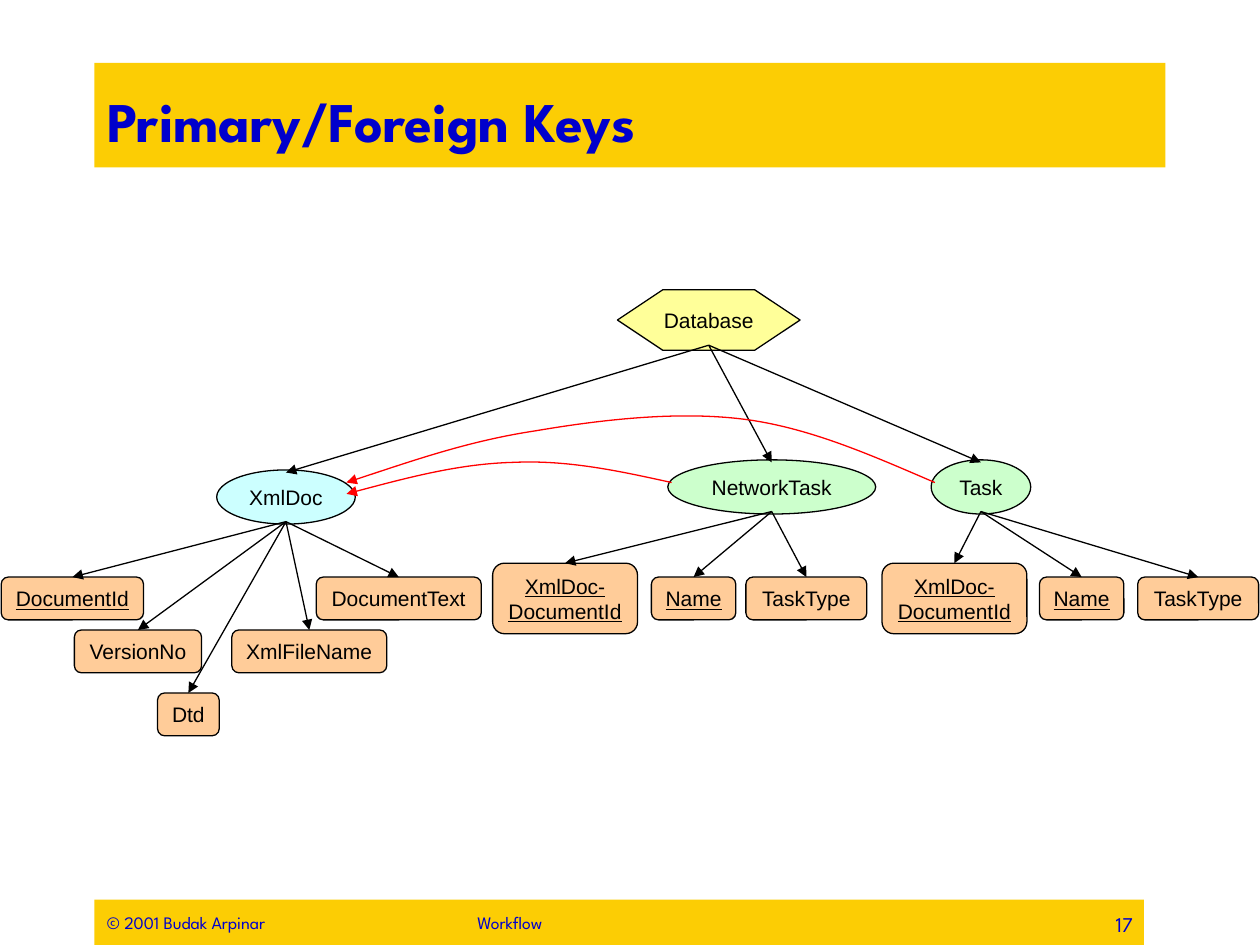
from lxml import etree
from pptx import Presentation
from pptx.dml.color import RGBColor
from pptx.enum.shapes import MSO_CONNECTOR, MSO_SHAPE
from pptx.enum.text import MSO_ANCHOR, MSO_AUTO_SIZE, PP_ALIGN
from pptx.oxml.ns import qn
from pptx.util import Inches, Pt

RECT, HEXAGON, OVAL = MSO_SHAPE.RECTANGLE, MSO_SHAPE.HEXAGON, MSO_SHAPE.OVAL
ROUND = MSO_SHAPE.ROUNDED_RECTANGLE
STRAIGHT = MSO_CONNECTOR.STRAIGHT
MIDDLE, NO_FIT = MSO_ANCHOR.MIDDLE, MSO_AUTO_SIZE.NONE
LEFT, CENTER, RIGHT = PP_ALIGN.LEFT, PP_ALIGN.CENTER, PP_ALIGN.RIGHT

GOLD = RGBColor(0xFC, 0xCD, 0x04)
BLUE = RGBColor(0x00, 0x00, 0xCC)
BLACK = RGBColor(0x00, 0x00, 0x00)
RED = RGBColor(0xFF, 0x00, 0x00)
YELLOW = RGBColor(0xFF, 0xFF, 0x99)
CYAN = RGBColor(0xCC, 0xFF, 0xFF)
GREEN = RGBColor(0xCC, 0xFF, 0xCC)
ORANGE = RGBColor(0xFF, 0xCC, 0x99)

HEADING = {"name": "League Spartan", "color": BLUE}
LABEL = {"name": "Arial", "size": Pt(12), "color": BLACK}
INSET = 0.02  # arrows touch the entity ovals slightly inside the outline


def set_text(s, text, align, wrap=True, **font):
    tf = s.text_frame
    for name, value in {"word_wrap": wrap, "auto_size": NO_FIT,
                        "vertical_anchor": MIDDLE}.items():
        setattr(tf, name, value)
    tf.text = text
    color = font.pop("color")
    for p in tf.paragraphs:
        p.alignment = align
        for r in p.runs:
            r.font.color.rgb = color
            for name, value in font.items():
                setattr(r.font, name, value)


def style_arrow(s, color):
    s.line.color.rgb = color
    s.line.width = Pt(0.75)
    ln = s.line._get_or_add_ln()
    etree.SubElement(ln, qn("a:tailEnd"), type="triangle")
    if s._element.spPr.find(qn("a:effectLst")) is None:
        etree.SubElement(s._element.spPr, qn("a:effectLst"))


prs = Presentation()
prs.slide_width, prs.slide_height = Inches(10), Inches(7.5)
slide = prs.slides.add_slide(prs.slide_layouts[5])
shapes = slide.shapes

# Title and footer bars
bars = []
for top, width, height in [(0.5, 8.5, 0.83), (7.14, 8.33, 0.36)]:
    bar = shapes.add_shape(RECT, Inches(0.75), Inches(top), Inches(width), Inches(height))
    bar.shadow.inherit = False
    bar.fill.solid()
    bar.fill.fore_color.rgb = GOLD
    bar.line.fill.background()
    bars.append(bar)

title = shapes.title
title.left, title.top = Inches(0.75), Inches(0.33)
title.width, title.height = Inches(8.5), Inches(1.25)
set_text(title, "Primary/Foreign Keys", LEFT, size=Pt(32), bold=True, **HEADING)
shapes._spTree.append(title._element)  # in front of its bar

footer = bars[1]
set_text(footer, "© 2001 Budak Arpinar\tWorkflow", LEFT, size=Pt(10), **HEADING)
pPr = footer.text_frame.paragraphs[0]._p.get_or_add_pPr()
tabs = etree.SubElement(pPr, qn("a:tabLst"))
etree.SubElement(tabs, qn("a:tab"), pos=str(Inches(2.94)), algn="l")

number = shapes.add_textbox(Inches(7.17), Inches(7.17), Inches(1.92), Inches(0.33))
set_text(number, "17", RIGHT, size=Pt(12), **HEADING)

# Schema tree: name, parent, shape, fill, left, top, width, height, is key
ENTITIES = [
    ("Database", None, HEXAGON, YELLOW, 4.9, 2.3, 1.45, 0.48, False),
    ("XmlDoc", "Database", OVAL, CYAN, 1.72, 3.73, 1.1, 0.43, False),
    ("NetworkTask", "Database", OVAL, GREEN, 5.3, 3.65, 1.65, 0.43, False),
    ("Task", "Database", OVAL, GREEN, 7.39, 3.65, 0.79, 0.43, False),
]
# name, parent, left, top, width, height, is key
FIELDS = [
    ("DocumentId", "XmlDoc", 0.01, 4.58, 1.13, 0.34, True),
    ("VersionNo", "XmlDoc", 0.59, 5, 1.01, 0.34, False),
    ("Dtd", "XmlDoc", 1.25, 5.5, 0.49, 0.34, False),
    ("XmlFileName", "XmlDoc", 1.84, 5, 1.23, 0.34, False),
    ("DocumentText", "XmlDoc", 2.51, 4.58, 1.31, 0.34, False),
]
for parent, key_left, name_left, type_left in [("NetworkTask", 3.91, 5.17, 5.92),
                                               ("Task", 7, 8.25, 9.03)]:
    FIELDS += [
        ("XmlDoc-\nDocumentId", parent, key_left, 4.47, 1.15, 0.56, True),
        ("Name", parent, name_left, 4.58, 0.67, 0.34, True),
        ("TaskType", parent, type_left, 4.58, 0.96, 0.34, False),
    ]
NODES = ENTITIES + [(name, parent, ROUND, ORANGE, *rest) for name, parent, *rest in FIELDS]

exits = {}  # where the arrows leave each entity
for name, parent, kind, fill, left, top, width, height, is_key in NODES:
    s = shapes.add_shape(kind, Inches(left), Inches(top), Inches(width), Inches(height))
    s.shadow.inherit = False
    s.fill.solid()
    s.fill.fore_color.rgb = fill
    s.line.color.rgb = BLACK
    s.line.width = Pt(0.75)
    if kind == HEXAGON:
        s.adjustments[0] = 0.75
    set_text(s, name, CENTER, wrap=False, underline=is_key, **LABEL)

    center = left + width / 2
    if kind != ROUND:
        exits[name] = (center, top + height - (0.04 if kind == HEXAGON else INSET))
    if parent:
        x, y = exits[parent]
        arrow = shapes.add_connector(STRAIGHT, Inches(x), Inches(y),
                                     Inches(center), Inches(top + INSET))
        if kind == ROUND:
            arrow.end_connect(s, 0)
        style_arrow(arrow, BLACK)

# Foreign keys: start point, then two control points and an end point per curve
FOREIGN_KEYS = [
    [(5.33, 3.83), (4.92, 3.74), (4.51, 3.65), (4.08, 3.67),
     (3.65, 3.68), (3.2, 3.8), (2.75, 3.92)],
    [(7.42, 3.83), (6.93, 3.62), (6.44, 3.4), (5.92, 3.33),
     (5.39, 3.26), (4.78, 3.33), (4.25, 3.42),
     (3.72, 3.5), (3.24, 3.67), (2.75, 3.83)],
]
for points in FOREIGN_KEYS:
    start, *rest = [(Inches(x), Inches(y)) for x, y in points]
    fb = shapes.build_freeform(*start)
    fb.add_line_segments(rest, close=False)
    s = fb.convert_to_shape()
    s.shadow.inherit = False
    s.fill.background()
    style_arrow(s, RED)
    # Turn each three line segments into one Bézier segment
    segments = list(s._element.iter(qn("a:lnTo")))
    for i in range(0, len(segments), 3):
        curve = etree.SubElement(segments[i].getparent(), qn("a:cubicBezTo"))
        for segment in segments[i:i + 3]:
            curve.append(segment[0])
            segment.getparent().remove(segment)

prs.save("out.pptx")
